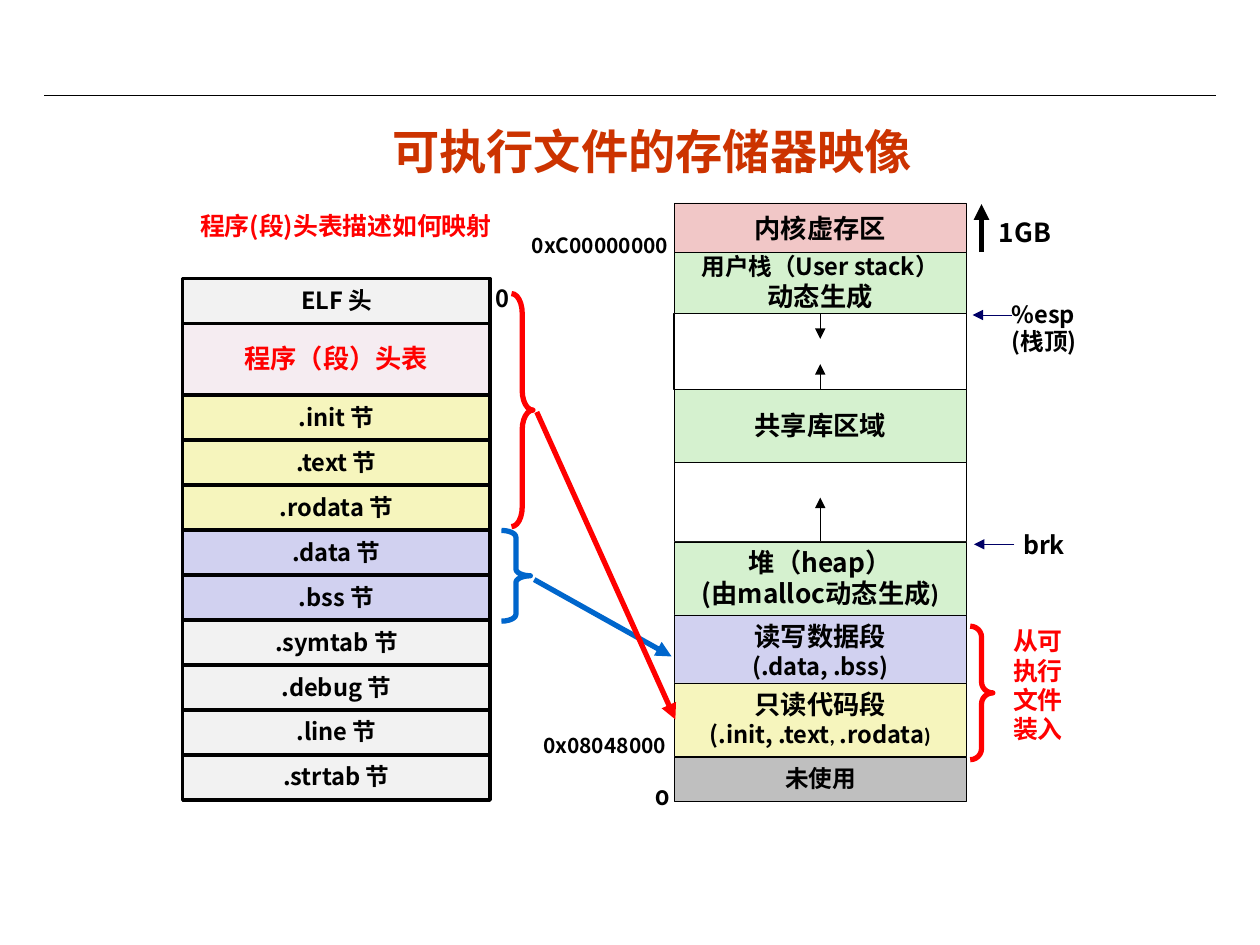
import pptx
import pptx.dml.color
import pptx.enum.dml
import pptx.enum.shapes
import pptx.enum.text
import pptx.oxml
import pptx.oxml.ns
import pptx.util
import lxml.etree

Inches = pptx.util.Inches
Pt = pptx.util.Pt
color = pptx.dml.color.RGBColor.from_string
qn = pptx.oxml.ns.qn
SANS = "Noto Sans CJK SC"

presentation = pptx.Presentation()
presentation.slide_width = Inches(10)
presentation.slide_height = Inches(7.5)
slide = presentation.slides.add_slide(presentation.slide_layouts[6])


def add_block(place, paragraphs, fill=None, line_width=0.25, text_color="000000",
              centered=False, wrap=False, insets=(0.07, 0.04), spacing=0.98):
    """Add a filled box, or a plain text box; a run is (text, size[, font])."""
    place = [Inches(value) for value in place]
    if fill:
        shape = slide.shapes.add_shape(pptx.enum.shapes.MSO_SHAPE.RECTANGLE, *place)
        shape.shadow.inherit = False
        shape.fill.solid()
        shape.fill.fore_color.rgb = color(fill)
        shape.line.color.rgb = color("000000")
        shape.line.width = Pt(line_width)
    else:
        shape = slide.shapes.add_textbox(*place)
    frame = shape.text_frame
    frame.word_wrap = wrap
    frame.margin_left = frame.margin_right = Inches(insets[0])
    frame.margin_top = frame.margin_bottom = Inches(insets[1])
    anchor = pptx.enum.text.MSO_ANCHOR
    frame.vertical_anchor = anchor.MIDDLE if centered else anchor.TOP
    align = pptx.enum.text.PP_ALIGN
    for index, runs in enumerate(paragraphs):
        paragraph = frame.add_paragraph() if index else frame.paragraphs[0]
        paragraph.alignment = align.CENTER if centered else align.LEFT
        paragraph.line_spacing = spacing
        for text, size, *font in runs:
            run = paragraph.add_run()
            run.text = text
            run.font.size = Pt(size)
            run.font.bold = True
            run.font.name = font[0] if font else SANS
            run.font.color.rgb = color(text_color)
            east_asian = lxml.etree.SubElement(run.font._element, qn("a:ea"))
            east_asian.set("typeface", SANS)
    return shape


def add_line(start, end, line_color, width, arrow=True):
    """Add a straight line, with an arrowhead at its end unless told otherwise."""
    line = slide.shapes.add_connector(
        pptx.enum.shapes.MSO_CONNECTOR.STRAIGHT,
        *[Inches(value) for value in start + end])
    line.line.color.rgb = color(line_color)
    line.line.width = Pt(width)
    if arrow:
        head = lxml.etree.SubElement(line.line._get_or_add_ln(), qn("a:tailEnd"))
        head.set("type", "triangle")
    lxml.etree.SubElement(line._element.spPr, qn("a:effectLst"))


# Header rule and title
add_line((0.35, 0.76), (9.65, 0.76), "000000", 0.75, arrow=False)
add_block((1.6, 0.94, 7.15, 0.51), [[("可执行文件的存储器映像", 27, "Arial")]],
          text_color="CC3300", centered=True, wrap=True, spacing=1)

# Executable file: stacked sections
GRAY, YELLOW, VIOLET, GREEN = "F2F2F2", "F6F5BD", "D1D1F0", "D5F1CF"
sections = [
    ("ELF 头", GRAY), ("程序（段）头表", "993366"),
    (".init 节", YELLOW), (".text 节", YELLOW), (".rodata 节", YELLOW),
    (".data 节", VIOLET), (".bss 节", VIOLET),
    (".symtab 节", GRAY), (".debug 节", GRAY), (".line 节", GRAY), (".strtab 节", GRAY),
]
top, bottom, header_height = 2.21, 6.35, 0.57
row_height = (bottom - top - header_height) / (len(sections) - 1)
for name, fill in sections:
    is_header = fill == "993366"
    height = header_height if is_header else row_height
    section = add_block((1.45, top, 2.44, height), [[(name, 15 if is_header else 13.5)]],
                        fill=fill, line_width=2, centered=True,
                        text_color="FF0000" if is_header else "000000")
    if is_header:
        tint = section._element.spPr.find(qn("a:solidFill"))[0]
        lxml.etree.SubElement(tint, qn("a:alpha")).set("val", "9000")
    top += height

# Process memory: regions from high to low addresses
regions = [
    (2.49, 0.6, "FFFFFF", []),
    (1.61, 0.42, "F1C7C7", [[("内核虚存区", 15)]]),
    (2, 0.49, GREEN, [[("用户栈（User stack）", 13.5)], [("动态生成", 15, "Calibri")]]),
    (3.09, 0.58, GREEN, [[("共享库区域", 15)]]),
    (3.67, 0.63, "FFFFFF", []),
    (4.3, 0.58, GREEN, [[("堆（heap）", 15)],
                        [("(由malloc动态生成", 15), (")", 15, "Calibri")]]),
    (4.88, 0.58, VIOLET, [[("读写数据段", 15)], [("(.data, .bss)", 13.5)]]),
    (5.42, 0.58, YELLOW, [[("只读代码段", 15)],
                          [("(.init, .text", 13.5), (", ", 12, "Calibri"),
                           (".rodata", 13.5), (")", 12, "Calibri")]]),
    (6.01, 0.35, "BFBFBF", [[("未使用", 13.5)]]),
]
for top, height, fill, paragraphs in regions:
    add_block((5.35, top, 2.32, height), paragraphs, fill=fill, centered=True,
              line_width=0.25 if paragraphs or top > 3 else 0.75)

# Addresses and pointer labels
labels = [
    ((4.15, 1.82, 1.29, 0.27), "0xC00000000", 12, SANS),
    ((4.24, 5.79, 1.18, 0.27), "0x08048000", 12, SANS),
    ((5.13, 6.2, 0.26, 0.28), "0", 12, "Montserrat"),
    ((3.86, 2.23, 0.26, 0.3), "0", 13.5, SANS),
    ((8.05, 4.18, 0.49, 0.3), "brk", 14.2, SANS),
]
for place, text, size, font in labels:
    add_block(place, [[(text, size, font)]], spacing=0.94)
add_block((8.03, 2.36, 0.6, 0.51), [[("%esp", 13.5)], [("(栈顶)", 13.5)]],
          wrap=True, insets=(0, 0.04), spacing=0.94)
add_block((7.83, 1.67, 0.69, 0.35), [[("1GB", 15)]],
          wrap=True, insets=(0.1, 0.05), spacing=1)

# Red notes
add_block((1.49, 1.62, 2.68, 0.34), [[("程序(段)头表描述如何映射", 14.2)]],
          text_color="FF0000", wrap=True, insets=(0.1, 0.05), spacing=1)
add_block((7.97, 4.94, 0.61, 1.02), [[("从可执行文件装入", 14.2, "Calibri")]],
          text_color="FF0000", wrap=True)

# Braces
braces = [
    ((7.7, 4.97, 0.18, 1.06), 0.486, "FF0000"),
    ((3.98, 4.21, 0.23, 0.72), 0.234, "0066CC"),
    ((4.06, 2.33, 0.17, 1.85), 0.915, "FF0000"),
]
for place, curve, brace_color in braces:
    brace = slide.shapes.add_shape(pptx.enum.shapes.MSO_SHAPE.RIGHT_BRACE,
                                   *[Inches(value) for value in place])
    brace.shadow.inherit = False
    brace.fill.background()
    brace.line.color.rgb = color(brace_color)
    brace.line.width = Pt(3)
    brace.adjustments[0] = curve

# Arrows: pointers, growth directions, mapping
arrows = [
    ((8.03, 2.5), (7.72, 2.5), "000066", 0.25),
    ((8.05, 4.32), (7.73, 4.32), "000066", 0.25),
    ((7.79, 2), (7.79, 1.62), "000000", 3),
    ((6.51, 2.49), (6.51, 2.69), "000000", 0.25),
    ((6.51, 3.09), (6.51, 2.89), "000000", 0.25),
    ((6.51, 4.29), (6.51, 3.95), "000000", 0.25),
    ((4.24, 4.6), (5.33, 5.21), "0066CC", 3),
    ((4.26, 3.27), (5.36, 5.71), "FF0000", 3),
]
for start, end, arrow_color, width in arrows:
    add_line(start, end, arrow_color, width)

presentation.save("out.pptx")
